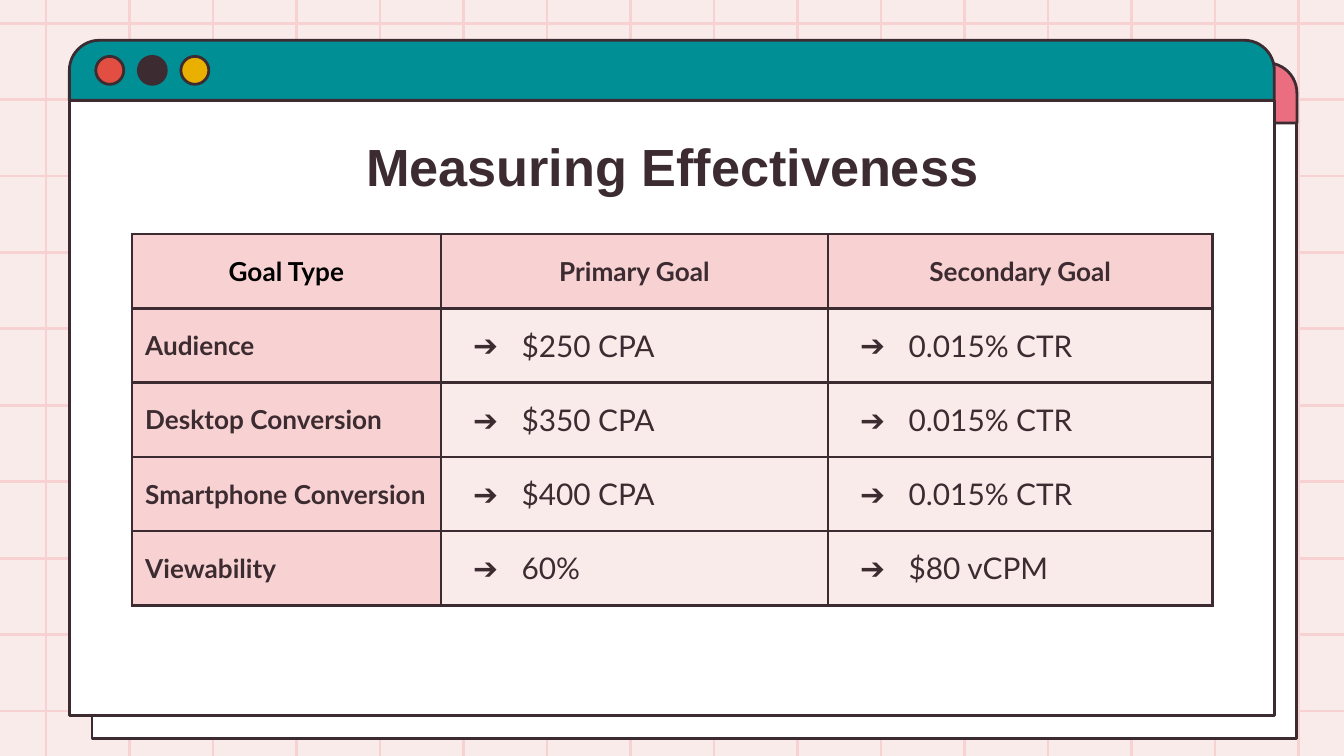
from lxml.etree import SubElement
from pptx import Presentation
from pptx.dml.color import RGBColor
from pptx.enum.shapes import MSO_CONNECTOR, MSO_SHAPE
from pptx.enum.text import MSO_ANCHOR, PP_ALIGN
from pptx.oxml.ns import qn
from pptx.util import Pt

INK = "3C2C31"
PINK = "F8D2D2"
PALE = "FAEBEB"
WHITE = "FFFFFF"
TEAL = "008F95"
ROSE = "EB6E80"
DOTS = ["E24E42", INK, "E9B000"]
ROWS = [
    ["Goal Type", "Primary Goal", "Secondary Goal"],
    ["Audience", "$250 CPA", "0.015% CTR"],
    ["Desktop Conversion", "$350 CPA", "0.015% CTR"],
    ["Smartphone Conversion", "$400 CPA", "0.015% CTR"],
    ["Viewability", "60%", "$80 vCPM"],
]
COL_WIDTHS = [165.6, 207.4, 205.9]
ROW_HEIGHT = 39.8
WIDTH, HEIGHT = 720, 405


def paint(fill, color):
    fill.solid()
    fill.fore_color.rgb = RGBColor.from_string(color)


def add_text(tf, text, size=14, font="Lato", color=INK, bold=False,
             align=PP_ALIGN.LEFT, bullet=None):
    p = tf.paragraphs[0]
    p.alignment = align
    if bullet:
        pPr = p._p.get_or_add_pPr()
        pPr.set("marL", str(Pt(36)))
        pPr.set("indent", str(Pt(-26)))
        clr = SubElement(pPr, qn("a:buClr"))
        SubElement(clr, qn("a:srgbClr"), val=color)
        SubElement(pPr, qn("a:buFont"), typeface=font)
        SubElement(pPr, qn("a:buChar"), char=bullet)
    r = p.add_run()
    r.text = text
    r.font.size = Pt(size)
    r.font.name = font
    r.font.bold = bold
    r.font.color.rgb = RGBColor.from_string(color)


def add_line(s, x1, y1, x2, y2):
    c = s.shapes.add_connector(MSO_CONNECTOR.STRAIGHT, Pt(x1), Pt(y1), Pt(x2), Pt(y2))
    paint(c.line.fill, PINK)
    c.line.width = Pt(1.5)
    SubElement(c._element.spPr, qn("a:effectLst"))


def add_box(s, kind, x, y, w, h, color):
    sp = s.shapes.add_shape(kind, Pt(x), Pt(y), Pt(w), Pt(h))
    sp.shadow.inherit = False
    paint(sp.fill, color)
    paint(sp.line.fill, INK)
    sp.line.width = Pt(1.5)
    return sp


def add_grid(s):
    for i in range(16):
        x = 24.7 + 44.73 * i
        add_line(s, x, HEIGHT, x, 0)
    for i in range(10):
        y = 12.4 + 40.95 * i
        add_line(s, 0, y, WIDTH, y)


def add_window(s, x, y, color):
    add_box(s, MSO_SHAPE.RECTANGLE, x, y + 32.2, 645.5, 329.6, WHITE)
    bar = add_box(s, MSO_SHAPE.ROUND_2_SAME_RECTANGLE, x, y, 645.5, 32.2, color)
    bar.adjustments[0] = 0.5


def add_dots(s):
    for i, color in enumerate(DOTS):
        add_box(s, MSO_SHAPE.OVAL, 51.3 + 22.8 * i, 30.2, 15, 15, color)


def add_title(s, text):
    sp = s.shapes.title
    sp.element.getparent().append(sp.element)
    sp.left, sp.top, sp.width, sp.height = Pt(70.6), Pt(61.9), Pt(578.9), Pt(45.4)
    tf = sp.text_frame
    tf.word_wrap = True
    tf.vertical_anchor = MSO_ANCHOR.TOP
    tf.margin_left = tf.margin_right = Pt(7.2)
    tf.margin_top = Pt(10)
    tf.margin_bottom = 0
    add_text(tf, text, size=28, font="Arial", bold=True, align=PP_ALIGN.CENTER)


def format_cell(cell, color):
    cell.vertical_anchor = MSO_ANCHOR.MIDDLE
    cell.margin_left = cell.margin_right = Pt(7.2)
    cell.margin_top = cell.margin_bottom = 0
    tcPr = cell._tc.get_or_add_tcPr()
    for side in ("a:lnL", "a:lnR", "a:lnT", "a:lnB"):
        ln = SubElement(tcPr, qn(side), w=str(Pt(1.5)))
        SubElement(SubElement(ln, qn("a:solidFill")), qn("a:srgbClr"), val=INK)
    paint(cell.fill, color)


def add_goal_table(s):
    frame = s.shapes.add_table(len(ROWS), len(COL_WIDTHS), Pt(70.6), Pt(125.4),
                               Pt(sum(COL_WIDTHS)), Pt(ROW_HEIGHT * len(ROWS)))
    table = frame.table
    table.horz_banding = False
    for col, width in zip(table.columns, COL_WIDTHS):
        col.width = Pt(width)
    for i, values in enumerate(ROWS):
        table.rows[i].height = Pt(ROW_HEIGHT)
        for j, text in enumerate(values):
            cell = table.cell(i, j)
            heading = i == 0 or j == 0
            format_cell(cell, PINK if heading else PALE)
            add_text(cell.text_frame, text,
                     size=14 if heading else 16,
                     bold=heading,
                     color="000000" if i == j == 0 else INK,
                     align=PP_ALIGN.CENTER if i == 0 else PP_ALIGN.LEFT,
                     bullet=None if heading else "➔")


def main():
    prs = Presentation()
    prs.slide_width, prs.slide_height = Pt(WIDTH), Pt(HEIGHT)
    s = prs.slides.add_slide(prs.slide_layouts[5])
    paint(s.background.fill, PALE)
    add_grid(s)
    add_window(s, 49.3, 33.7, ROSE)
    add_window(s, 37.2, 21.6, TEAL)
    add_dots(s)
    add_title(s, "Measuring Effectiveness")
    add_goal_table(s)
    prs.save("out.pptx")


if __name__ == "__main__":
    main()
